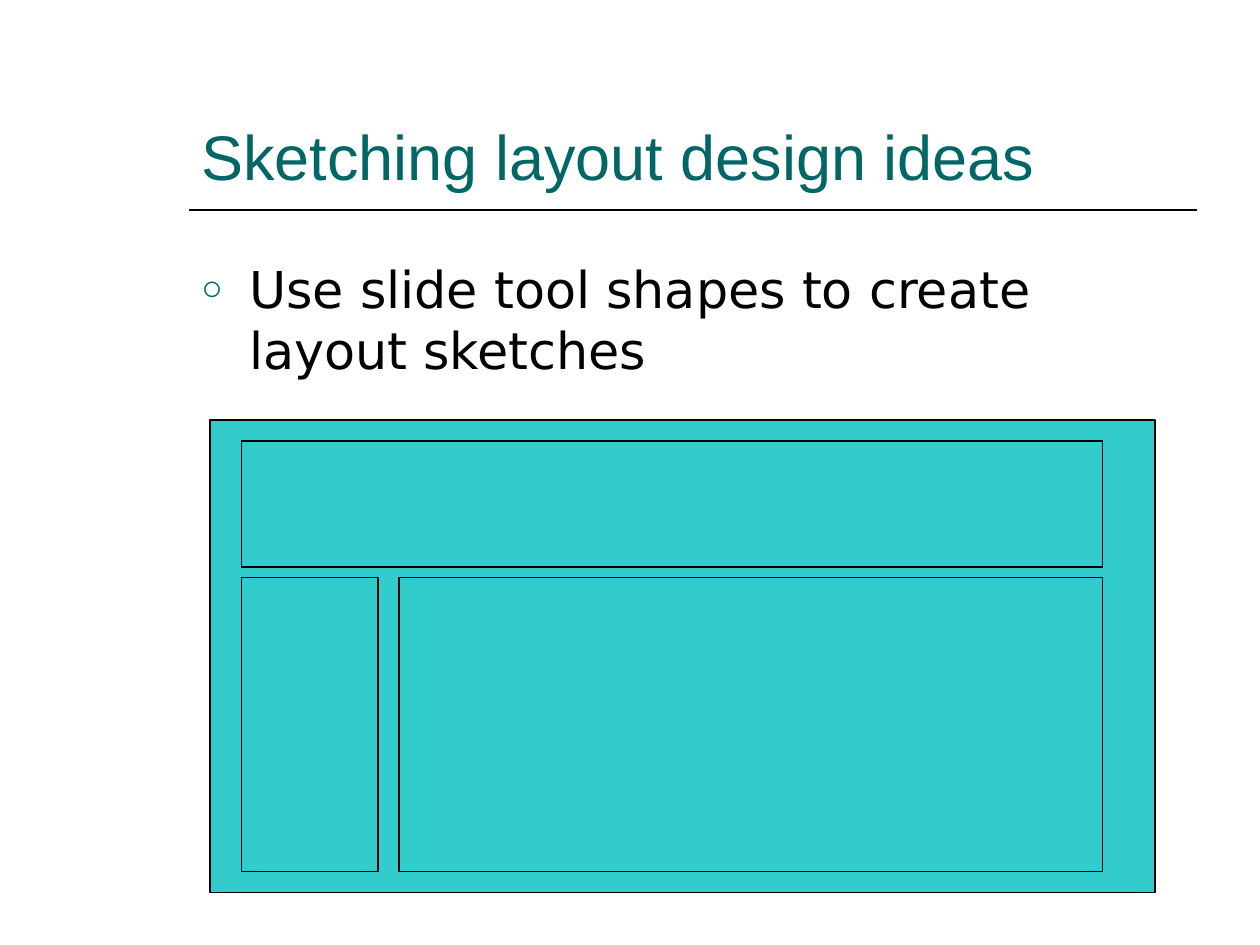
from pptx import Presentation
from pptx.dml.color import RGBColor
from pptx.enum.shapes import MSO_CONNECTOR, MSO_SHAPE
from pptx.enum.text import MSO_ANCHOR
from pptx.oxml.ns import qn
from pptx.util import Inches, Pt
from lxml.etree import SubElement

HUES = {"teal": "006666", "aqua": "33CCCC", "ink": "000000"}
COLS, ROWS = 120, 90
TITLE = ("Sketching layout design ideas", (18, 4, 96, 15),
         "Arial", 36, "teal", MSO_ANCHOR.BOTTOM)
BODY = ("Use slide tool shapes to create layout sketches", (18, 24, 96, 54),
        "DejaVu Sans", 29, "ink", MSO_ANCHOR.TOP)
RULE = (18, 20, 114, 20)
PAGE = (20, 40, 90, 45)
PANES = [(23, 42, 82, 12), (23, 55, 13, 28), (38, 55, 67, 28)]

deck = Presentation()
deck.slide_width, deck.slide_height = Inches(10), Inches(7.5)
slide = deck.slides.add_slide(deck.slide_layouts[6])


def hue(name):
    return RGBColor.from_string(HUES[name])


def place(box):
    sides = (deck.slide_width / COLS, deck.slide_height / ROWS) * 2
    return [round(n * side) for n, side in zip(box, sides)]


def add_text(text, box, face, size, tint, anchor):
    frame = slide.shapes.add_textbox(*place(box)).text_frame
    frame.word_wrap = True
    frame.vertical_anchor = anchor
    para = frame.paragraphs[0]
    para.text = text
    font = para.font
    font.name, font.size = face, Pt(size)
    font.color.rgb = hue(tint)
    return para


def add_bullet(para):
    para.space_before = Pt(7.3)
    props = para._p.get_or_add_pPr()
    props.set("marL", str(Inches(0.38)))
    props.set("indent", str(Inches(-0.38)))
    marks = [("a:buClr", None), ("a:buSzPct", ("val", "70000")),
             ("a:buFont", ("typeface", "Arial")),
             ("a:buChar", ("char", "○"))]
    spot = props.index(props.find(qn("a:defRPr")))
    for step, (tag, pair) in enumerate(marks):
        mark = SubElement(props, qn(tag))
        if pair:
            mark.set(*pair)
        else:
            SubElement(mark, qn("a:srgbClr")).set("val", HUES["teal"])
        props.insert(spot + step, mark)


def add_pane(box):
    pane = slide.shapes.add_shape(MSO_SHAPE.RECTANGLE, *place(box))
    pane.shadow.inherit = False
    pane.fill.solid()
    pane.fill.fore_color.rgb = hue("aqua")
    pane.line.color.rgb = hue("ink")
    pane.line.width = Pt(0.75)
    return pane


rule = slide.shapes.add_connector(MSO_CONNECTOR.STRAIGHT, *place(RULE))
rule.line.color.rgb = hue("ink")
rule.line.width = Pt(1)
SubElement(rule._element.spPr, qn("a:effectLst"))

add_text(*TITLE)
add_bullet(add_text(*BODY))
add_pane(PAGE).rotation = 180
for box in PANES:
    add_pane(box)

deck.save("out.pptx")
